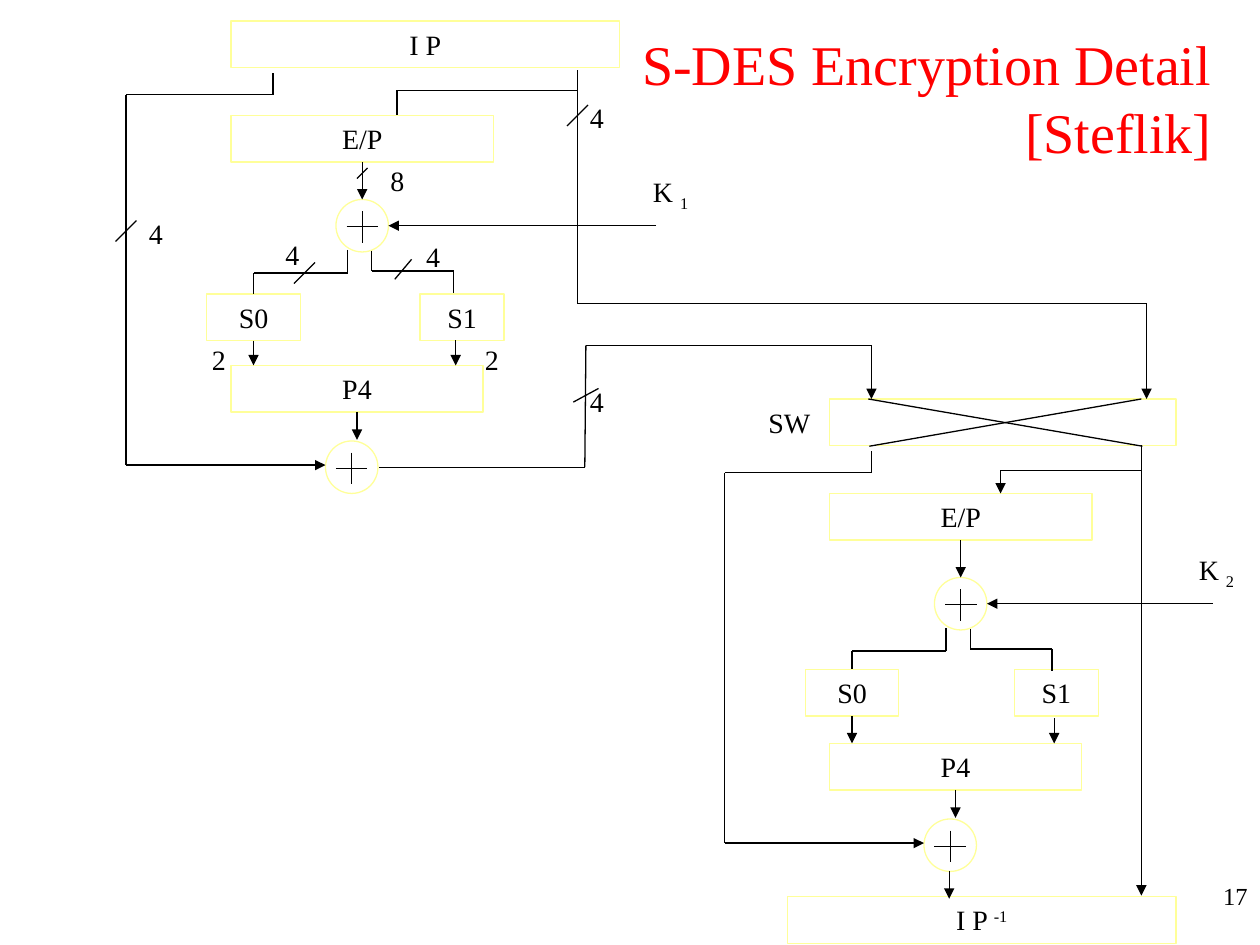
"""Build a slide with the two-round S-DES encryption diagram."""
from pptx import Presentation
from pptx.dml.color import RGBColor
from pptx.enum.shapes import MSO_CONNECTOR as Connector, MSO_SHAPE as Shape
from pptx.enum.text import MSO_ANCHOR as Anchor, PP_ALIGN as Align
from pptx.oxml.ns import qn
from pptx.util import Inches, Pt
from lxml.etree import SubElement

COLUMNS, ROWS = 120, 90
BOX_HEIGHT, SUM_SIZE, PLUS_ARM = 4.44, 5, 1.5
BLACK, RED, YELLOW = "000000", "FF0000", "FFFF99"
FONT = "Times New Roman"
TOP, BOTTOM = 0, 2

TITLE = "S-DES Encryption Detail [Steflik]"
ROUNDS = [
    {"offset": (0, 0), "nudges": {}},
    {"offset": (57, 36), "nudges": {"S0": (0, -0.25), "S1": (-0.4, -0.25)}},
]
ROUND_BOXES = [("E/P", 22, 11, 25), ("S0", 19.7, 28, 8.9),
               ("S1", 40, 28, 8), ("P4", 22, 34.8, 24)]
ROUND_SUMS = [(32, 19), (31, 42)]
ROUND_PATHS = [
    {"points": [(34.5, 15.5), (34.5, 19)], "arrow": True, "start": ("E/P", BOTTOM)},
    {"points": [(33.1, 23.8), (33.1, 26), (24.15, 26), (24.15, 28)], "end": ("S0", TOP)},
    {"points": [(35.4, 23.9), (35.4, 25.8), (43.2, 25.8), (43.2, 27.9)]},
    {"points": [(24.15, 32.4), (24.15, 34.8)], "arrow": True, "start": ("S0", BOTTOM)},
    {"points": [(43.4, 32.4), (43.4, 34.8)], "arrow": True},
    {"points": [(34, 39.2), (34, 41.9)], "arrow": True, "start": ("P4", BOTTOM)},
    {"points": [(26, 7), (26, 9), (12, 9), (12, 44.3), (31, 44.3)], "arrow": True},
]
OUTER_BOXES = [(["I P"], 22, 2, 37), ([], 79, 38, 33), (["I P ", "-1"], 75, 85.4, 37)]
ARROW_PATHS = [
    [(62.5, 21.5), (37, 21.5)],
    [(115.5, 57.5), (94, 57.5)],
    [(55, 6.7), (55, 28.9), (109.2, 28.9), (109.2, 38)],
    [(36.1, 44.5), (55.7, 44.5), (55.8, 32.9), (83, 32.9), (83, 38)],
    [(108.7, 42.4), (108.7, 85.3)],
    [(108.7, 44.8), (95.3, 44.8), (95.3, 47)],
    [(90.4, 83), (90.4, 85.6)],
]
PLAIN_PATHS = [
    [(55, 8.6), (37.8, 8.6), (37.8, 11)],
    [(82.7, 38), (108.8, 42.5)],
    [(108.7, 38), (82.8, 42.5)],
]
BUS_TICKS = [
    [(56, 10), (54, 12)], [(13, 21), (11, 23)], [(35, 16), (34, 17)],
    [(30, 25), (28, 27)], [(39.2, 24.7), (37.6, 26.6)], [(57, 37), (54.6, 38.3)],
]
BIT_COUNTS = [("4", 13, 20), ("4", 55, 9), ("8", 36, 15), ("4", 26, 22),
              ("4", 39.4, 22.2), ("2", 19, 32), ("2", 45, 32), ("4", 55, 36)]
NAMES = [(["SW"], 72, 38), (["K ", "1"], 61, 16), (["K ", "2"], 113, 52)]

presentation = Presentation()
presentation.slide_width, presentation.slide_height = Inches(10), Inches(7.5)
slide = presentation.slides.add_slide(presentation.slide_layouts[6])


def across(columns):
    return round(presentation.slide_width * columns / COLUMNS)


def down(rows):
    return round(presentation.slide_height * rows / ROWS)


def place(left, top, width, height):
    return across(left), down(top), across(width), down(height)


def color(value):
    return RGBColor.from_string(value)


def write(shape, runs, size=16, ink=BLACK, align=Align.LEFT, anchor=Anchor.TOP, baseline=0):
    frame = shape.text_frame
    frame.word_wrap = True
    frame.vertical_anchor = anchor
    paragraph = frame.paragraphs[0]
    paragraph.alignment = align
    for index, text in enumerate(runs):
        run = paragraph.add_run()
        run.text = text
        run.font.name, run.font.size = FONT, Pt(size)
        run.font.color.rgb = color(ink)
        if index and baseline:
            run._r.get_or_add_rPr().set("baseline", str(baseline * 1000))


def label(runs, left, top, width, height=BOX_HEIGHT, **style):
    write(slide.shapes.add_textbox(*place(left, top, width, height)), runs, **style)


def outline(kind, left, top, width, height):
    shape = slide.shapes.add_shape(kind, *place(left, top, width, height))
    shape.shadow.inherit = False
    shape.fill.background()
    shape.line.color.rgb = color(YELLOW)
    shape.line.width = Pt(0.75)
    return shape


def box(runs, left, top, width):
    shape = outline(Shape.RECTANGLE, left, top, width, BOX_HEIGHT)
    write(shape, runs, align=Align.CENTER, baseline=30)
    return shape


def draw_path(points, arrow=False, start=None, end=None):
    lines = []
    for (x1, y1), (x2, y2) in zip(points, points[1:]):
        line = slide.shapes.add_connector(
            Connector.STRAIGHT, across(x1), down(y1), across(x2), down(y2))
        line.line.color.rgb = color(BLACK)
        line.line.width = Pt(0.75)
        SubElement(line._element.spPr, qn("a:effectLst"))
        lines.append(line)
    if start:
        lines[0].begin_connect(*start)
    if end:
        lines[-1].end_connect(*end)
    if arrow:
        SubElement(lines[-1].line._get_or_add_ln(), qn("a:tailEnd"), type="triangle")


def draw_sum(left, top):
    outline(Shape.OVAL, left, top, SUM_SIZE, SUM_SIZE)
    x, y = left + SUM_SIZE / 2, top + SUM_SIZE / 2 + 0.1
    draw_path([(x, y - PLUS_ARM), (x, y + PLUS_ARM)])
    draw_path([(x - PLUS_ARM, y), (x + PLUS_ARM, y)])


def draw_round(offset, nudges):
    dx, dy = offset
    boxes = {}
    for name, left, top, width in ROUND_BOXES:
        nudge_x, nudge_y = nudges.get(name, (0, 0))
        boxes[name] = box([name], left + dx + nudge_x, top + dy + nudge_y, width)
    for left, top in ROUND_SUMS:
        draw_sum(left + dx, top + dy)
    for path in ROUND_PATHS:
        joins = {key: (boxes[path[key][0]], path[key][1])
                 for key in ("start", "end") if key in path}
        points = [(x + dx, y + dy) for x, y in path["points"]]
        draw_path(points, path.get("arrow", False), **joins)


label([TITLE], 58, 2, 58.6, 14.5, size=32, ink=RED, align=Align.RIGHT, anchor=Anchor.MIDDLE)
label(["17"], 114.7, 83.3, 5.3, size=14, align=Align.RIGHT)
for outer_box in OUTER_BOXES:
    box(*outer_box)
for cipher_round in ROUNDS:
    draw_round(**cipher_round)
for points in ARROW_PATHS:
    draw_path(points, arrow=True)
for points in PLAIN_PATHS + BUS_TICKS:
    draw_path(points)
for bits, left, top in BIT_COUNTS:
    label([bits], left, top, 4)
for runs, left, top in NAMES:
    label(runs, left, top, 7.5, baseline=-25)

presentation.save("out.pptx")
